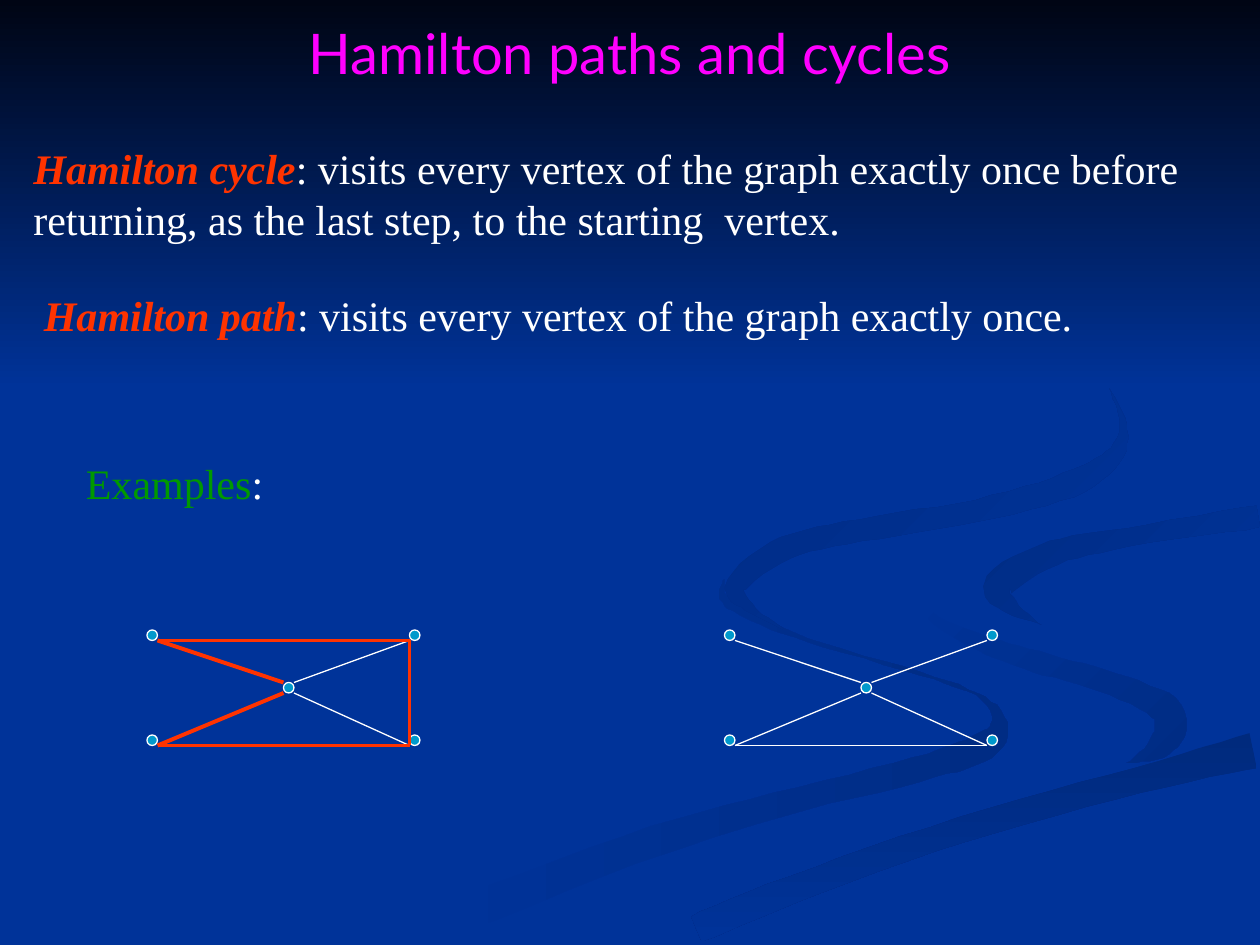
from math import hypot
from pptx import Presentation
from pptx.util import Pt
from pptx.dml.color import RGBColor
from pptx.enum.shapes import MSO_SHAPE, MSO_CONNECTOR
from pptx.enum.text import MSO_ANCHOR, PP_ALIGN
from pptx.oxml.ns import qn
from lxml import etree

OVAL, RECT, STRAIGHT = MSO_SHAPE.OVAL, MSO_SHAPE.RECTANGLE, MSO_CONNECTOR.STRAIGHT
TOP, MIDDLE = MSO_ANCHOR.TOP, MSO_ANCHOR.MIDDLE
LEFT, CENTER = PP_ALIGN.LEFT, PP_ALIGN.CENTER

theme = {
    "bg": RGBColor(0x00, 0x33, 0x99), "sky": RGBColor(0x00, 0x05, 0x14),
    "shade": RGBColor(0x00, 0x2C, 0x84), "deep_shade": RGBColor(0x00, 0x2A, 0x7D),
    "title": RGBColor(0xFF, 0x00, 0xFF), "text": RGBColor(0xFF, 0xFF, 0xFF),
    "accent": RGBColor(0xFF, 0x33, 0x00), "example": RGBColor(0x00, 0x99, 0x00),
    "node": RGBColor(0x00, 0x99, 0xCC),
    "title_font": "Lato", "body_font": "Times New Roman",
    "title_size": Pt(32), "body_size": Pt(24), "body_spacing": Pt(28.8),
    "thin": Pt(0.75), "thick": Pt(2.25),
}


def add_text(s, box, runs, kind="body", align=LEFT, anchor=TOP, wrap=True):
    tf = s.shapes.add_textbox(*[Pt(v) for v in box]).text_frame
    tf.word_wrap = wrap
    tf.vertical_anchor = anchor
    p = tf.paragraphs[0]
    p.alignment = align
    if kind == "body":
        p.line_spacing = theme["body_spacing"]
    for text, fill, strong in runs:
        r = p.add_run()
        r.text = text
        r.font.name = theme[kind + "_font"]
        r.font.size = theme[kind + "_size"]
        r.font.color.rgb = theme[fill]
        r.font.bold = r.font.italic = strong


def add_ribbon(s, knots, steps=6):
    """Sweep a brush along a Catmull-Rom curve through (x, y, half width) knots."""
    padded = [knots[0], *knots, knots[-1]]
    curve = []
    for a, b, c, d in zip(padded, padded[1:], padded[2:], padded[3:]):
        for t in [i / steps for i in range(steps)]:
            curve.append([
                k1 + t / 2 * (k2 - k0 + t * (2 * k0 - 5 * k1 + 4 * k2 - k3
                                             + t * (3 * k1 - k0 - 3 * k2 + k3)))
                for k0, k1, k2, k3 in zip(a, b, c, d)])
    curve.append(knots[-1])
    one_side, other_side = [], []
    for before, (x, y, half), after in zip([curve[0], *curve], curve, [*curve[1:], curve[-1]]):
        dx, dy = after[0] - before[0], after[1] - before[1]
        scale = max(half, 0) / hypot(dx, dy)
        one_side.append((x - dy * scale, y + dx * scale))
        other_side.append((x + dy * scale, y - dx * scale))
    outline = one_side + other_side[::-1]
    fb = s.shapes.build_freeform(*outline[0], scale=Pt(1))
    fb.add_line_segments(outline[1:], close=True)
    return fb.convert_to_shape()


prs = Presentation()
prs.slide_width, prs.slide_height = Pt(720), Pt(540)
s = prs.slides.add_slide(prs.slide_layouts[6])
s.background.fill.solid()
s.background.fill.fore_color.rgb = theme["bg"]

lower_swirl = add_ribbon(s, [
    (414, 331, 0), (413, 341, 2), (427, 351, 2.5), (462, 366, 1), (526, 385, 1),
    (562, 399, 1), (571, 416, 5.5), (559, 428, 8), (523, 440, 7), (444, 460, 7),
    (359, 486, 9), (250, 528, 10)])
right_hook = add_ribbon(s, [
    (522, 336, 0), (532, 352, 2), (560, 367, 4.5), (592, 378, 6), (630, 389, 6),
    (663, 403, 8), (669, 416, 9), (661, 428, 6), (644, 436, 0)])
bottom_sweep = add_ribbon(s, [
    (716, 429, 10), (650, 446, 7.5), (550, 474, 7), (454, 508, 8), (398, 531, 8)])
right_swirl = add_ribbon(s, [
    (719, 295, 6.5), (645, 307, 5.5), (602, 316, 7), (571, 334, 8.5), (578, 347, 4),
    (595, 357, 0)])
upper_swirl = add_ribbon(s, [
    (634, 222, 0), (642, 243, 2), (636, 261, 5), (611, 277, 7), (558, 292, 6.5),
    (492, 303, 6.5), (449, 313, 6.5), (421, 334, 6), (428, 347, 2.5), (448, 360, 0)])
sky = s.shapes.add_shape(RECT, Pt(0), Pt(0), Pt(720), Pt(222))

for sp, start, end, clockwise in [
    (lower_swirl, "bg", "shade", 0),
    (right_hook, "bg", "shade", 45),
    (bottom_sweep, "deep_shade", "bg", 90),
    (right_swirl, "shade", "bg", 45),
    (upper_swirl, "shade", "bg", 45),
    (sky, "sky", "bg", 90),
]:
    sp.shadow.inherit = False
    sp.line.fill.background()
    sp.fill.gradient()
    sp.fill.gradient_angle = -clockwise % 360
    for stop, name, position in zip(sp.fill.gradient_stops, (start, end), (0, 1)):
        stop.color.rgb = theme[name]
        stop.position = position

add_text(s, (54, 0, 612, 60), [("Hamilton paths and cycles", "title", False)],
         "title", CENTER, MIDDLE)
add_text(s, (12, 78, 708, 65), [
    ("Hamilton cycle", "accent", True),
    (": visits every vertex of the graph exactly once before  returning, "
     "as the last step, to the starting  vertex.", "text", False)])
add_text(s, (18, 162, 678, 36), [
    ("Hamilton path", "accent", True),
    (": visits every vertex of the graph exactly once.", "text", False)])
add_text(s, (42, 258, 116, 36),
         [("Examples", "example", False), (":", "text", False)], wrap=False)

node_size = 6
graph_top = 360
hub_x, hub_y = 78, 30
nodes = {"nw": (0, 0), "ne": (150, 0), "sw": (0, 60), "se": (150, 60), "hub": (hub_x, hub_y)}
ends = {}
for corner in ("nw", "ne", "sw", "se"):
    x, y = nodes[corner]
    ends[corner] = (x + node_size * ("w" in corner), y + node_size)
    ends["hub_" + corner] = (hub_x + node_size * ("e" in corner),
                             hub_y + node_size * ("s" in corner))

top, right, bottom = ("nw", "ne"), ("ne", "se"), ("sw", "se")
spoke = {corner: ("hub_" + corner, corner) for corner in ("nw", "ne", "sw", "se")}
graph_with_cycle = (84, [spoke["ne"], spoke["se"]],
                    [top, bottom, spoke["nw"], spoke["sw"], right])
graph_with_path = (414, [bottom, *spoke.values()], [])

for graph_left, plain_edges, cycle_edges in (graph_with_cycle, graph_with_path):
    for x, y in nodes.values():
        sp = s.shapes.add_shape(OVAL, Pt(graph_left + x), Pt(graph_top + y),
                                Pt(node_size), Pt(node_size))
        sp.shadow.inherit = False
        sp.fill.solid()
        sp.fill.fore_color.rgb = theme["node"]
        sp.line.color.rgb = theme["text"]
        sp.line.width = theme["thin"]
    for edges, name, weight in ((plain_edges, "text", "thin"), (cycle_edges, "accent", "thick")):
        for begin, end in edges:
            (x1, y1), (x2, y2) = ends[begin], ends[end]
            ln = s.shapes.add_connector(STRAIGHT, Pt(graph_left + x1), Pt(graph_top + y1),
                                        Pt(graph_left + x2), Pt(graph_top + y2))
            ln.line.color.rgb = theme[name]
            ln.line.width = theme[weight]
            etree.SubElement(ln._element.spPr, qn("a:effectLst"))

prs.save("out.pptx")
